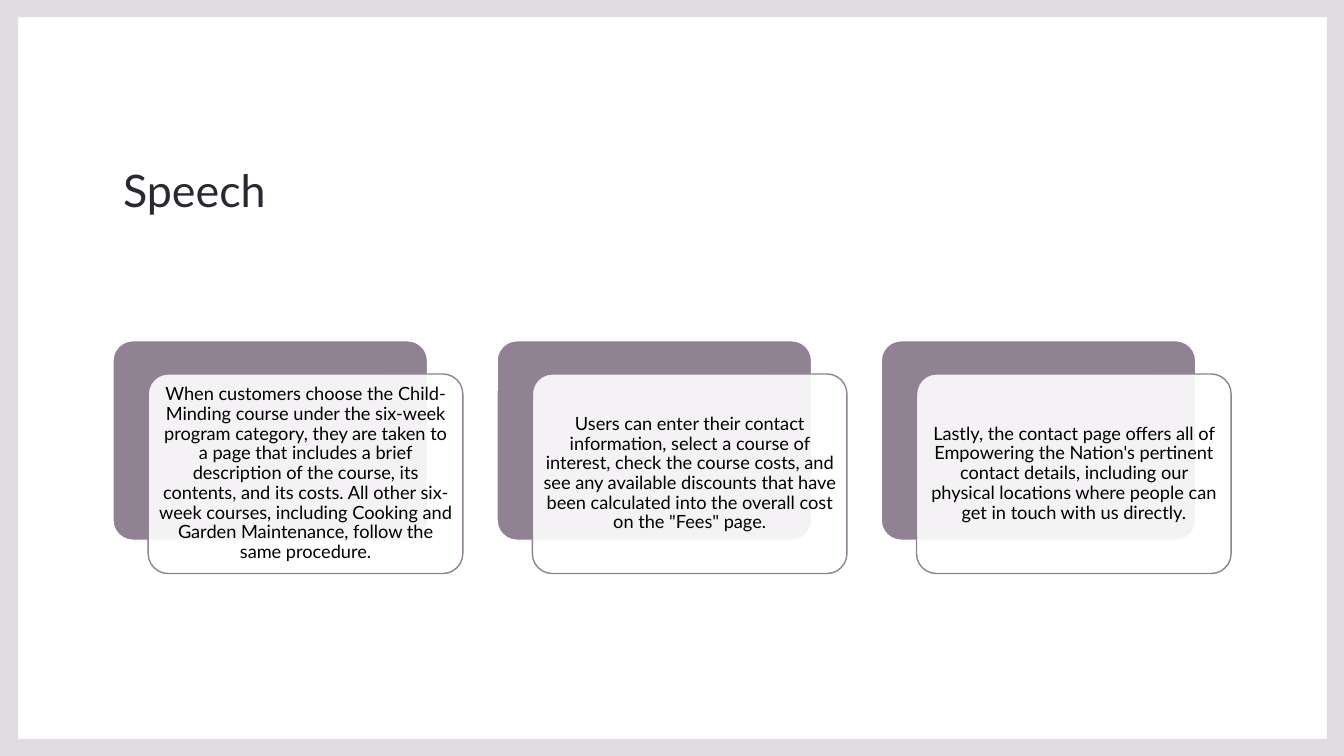
from lxml import etree
from pptx import Presentation
from pptx.dml.color import RGBColor
from pptx.enum.shapes import MSO_SHAPE
from pptx.enum.text import MSO_ANCHOR, MSO_AUTO_SIZE, PP_ALIGN
from pptx.oxml.ns import qn
from pptx.util import Pt

ROUNDED = MSO_SHAPE.ROUNDED_RECTANGLE
LEFT, CENTER = PP_ALIGN.LEFT, PP_ALIGN.CENTER
BOTTOM, MIDDLE = MSO_ANCHOR.BOTTOM, MSO_ANCHOR.MIDDLE
NO_AUTOFIT = MSO_AUTO_SIZE.NONE
TITLE_ONLY = 5
EMU_PER_PX = 9144
WIDTH, HEIGHT = 1333, 750

FONT = "Lato"
WHITE, BLACK, INK = "FFFFFF", "000000", "2C2830"
MAUVE, PALE_MAUVE = "908193", "E0DCE1"

CARD_WIDTH, CARD_HEIGHT = 312, 198
CARD_LEFT, CARD_TOP, CARD_STEP = 112, 338, 381
FRONT_SHIFT_X, FRONT_SHIFT_Y = 35, 33

CARD_TEXTS = [
    "When customers choose the Child-Minding course under the six-week program "
    "category, they are taken to a page that includes a brief description of the "
    "course, its contents, and its costs. All other six-week courses, including "
    "Cooking and Garden Maintenance, follow the same procedure.",
    "Users can enter their contact information, select a course of interest, check "
    "the course costs, and see any available discounts that have been calculated "
    'into the overall cost on the "Fees" page.',
    "Lastly, the contact page offers all of Empowering the Nation's pertinent "
    "contact details, including our physical locations where people can get in "
    "touch with us directly.",
]


def px(length):
    return length * EMU_PER_PX


def color(value):
    return RGBColor.from_string(value)


class SlideBuilder:
    def __init__(self, slide, font):
        self.slide = slide
        self.font = font

    def set_text(self, shape, text, size, text_color, align, anchor, spacing):
        frame = shape.text_frame
        frame.text = text
        frame.word_wrap = True
        frame.auto_size = NO_AUTOFIT
        frame.vertical_anchor = anchor
        paragraph = frame.paragraphs[0]
        paragraph.alignment = align
        paragraph.line_spacing = spacing
        paragraph.font.name = self.font
        paragraph.font.size = Pt(size)
        paragraph.font.color.rgb = color(text_color)

    def background(self, fill):
        self.slide.background.fill.solid()
        self.slide.background.fill.fore_color.rgb = color(fill)

    def frame(self, left, top, right, bottom, fill):
        builder = self.slide.shapes.build_freeform(0, 0, EMU_PER_PX)
        builder.add_line_segments([(WIDTH, 0), (WIDTH, HEIGHT), (0, HEIGHT)])
        builder.move_to(left, top)
        builder.add_line_segments([(left, bottom), (right, bottom), (right, top)])
        shape = builder.convert_to_shape()
        shape.shadow.inherit = False
        shape.fill.solid()
        shape.fill.fore_color.rgb = color(fill)
        shape.line.fill.background()

    def title(self, text, left, top, width, height):
        shape = self.slide.shapes.title
        shape.left, shape.top = px(left), px(top)
        shape.width, shape.height = px(width), px(height)
        self.set_text(shape, text, 32, INK, LEFT, BOTTOM, 1.1)

    def panel(self, left, top, fill, line, opacity=100):
        shape = self.slide.shapes.add_shape(
            ROUNDED, px(left), px(top), px(CARD_WIDTH), px(CARD_HEIGHT))
        shape.adjustments[0] = 0.1
        shape.shadow.inherit = False
        shape.fill.solid()
        shape.fill.fore_color.rgb = color(fill)
        shape.line.color.rgb = color(line)
        shape.line.width = Pt(1)
        if opacity < 100:
            fill_color = shape.element.spPr.find(qn("a:solidFill"))[0]
            etree.SubElement(fill_color, qn("a:alpha"), val=str(opacity * 1000))
        return shape

    def card(self, left, top, text):
        self.panel(left, top, MAUVE, WHITE)
        front = self.panel(left + FRONT_SHIFT_X, top + FRONT_SHIFT_Y,
                           WHITE, MAUVE, opacity=90)
        frame = front.text_frame
        frame.margin_left = frame.margin_right = px(5)
        frame.margin_top = frame.margin_bottom = px(5)
        self.set_text(front, text, 13, BLACK, CENTER, MIDDLE, 0.9)


def main():
    presentation = Presentation()
    presentation.slide_width = px(WIDTH)
    presentation.slide_height = px(HEIGHT)
    layout = presentation.slide_layouts[TITLE_ONLY]
    builder = SlideBuilder(presentation.slides.add_slide(layout), FONT)
    builder.background(WHITE)
    builder.frame(18, 17, 1316, 733, PALE_MAUVE)
    builder.title("Speech", 112, 79, 1108, 141)
    for index, text in enumerate(CARD_TEXTS):
        builder.card(CARD_LEFT + index * CARD_STEP, CARD_TOP, text)
    presentation.save("out.pptx")


if __name__ == "__main__":
    main()
